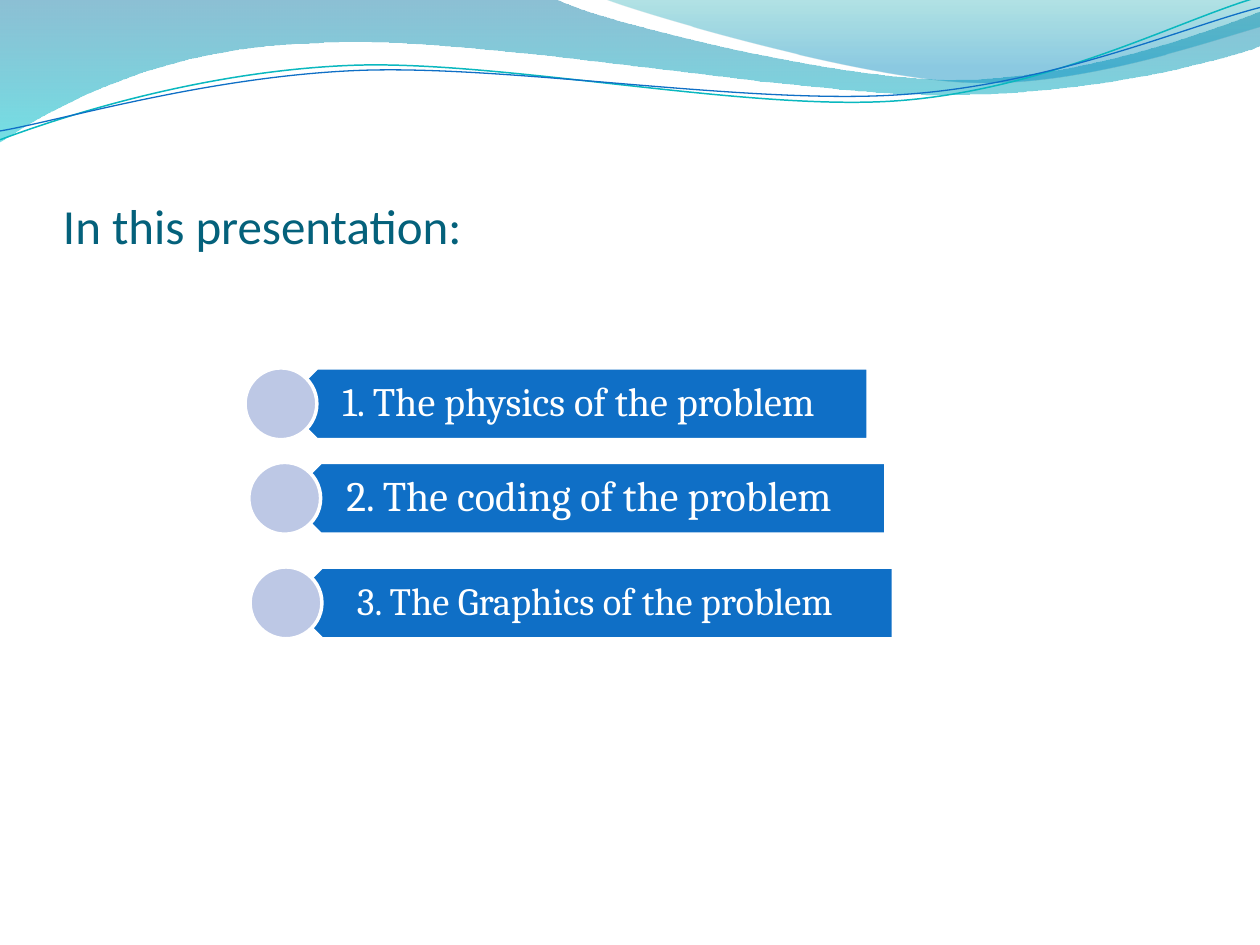
import math

import pptx
import pptx.dml.color
import pptx.enum.shapes
import pptx.enum.text
import pptx.oxml
import pptx.oxml.ns
import pptx.util

Inches = pptx.util.Inches
Pt = pptx.util.Pt
RGBColor = pptx.dml.color.RGBColor
Shapes = pptx.enum.shapes.MSO_SHAPE
Align = pptx.enum.text.PP_ALIGN
Anchor = pptx.enum.text.MSO_ANCHOR
qn = pptx.oxml.ns.qn
DRAWING = pptx.oxml.ns.nsdecls("a")

WHITE = RGBColor(0xFF, 0xFF, 0xFF)
TITLE_TEAL = RGBColor(0x04, 0x61, 0x7B)
BAR_BLUE = RGBColor(0x0F, 0x6F, 0xC6)
DISC_LILAC = RGBColor(0xBD, 0xC8, 0xE5)
LINE_TEAL = RGBColor(0x0A, 0xB8, 0xBF)
WAVE_BLUE = RGBColor(0x00, 0x74, 0xA1)
WAVE_CYAN = RGBColor(0x00, 0xC6, 0xCF)
CREST_TEAL = RGBColor(0x00, 0xA1, 0xA9)
CREST_BLUE = RGBColor(0x00, 0x8B, 0xBF)

TITLE = "In this presentation:"
# text, font size, bar left, top, bar width, top and bottom inset, right inset
TOPICS = [
    ("2. The coding of the problem", 24, 2.26, 3.67, 4.77, 0.1, 0.19),
    ("3. The Graphics of the problem", 22, 2.27, 4.5, 4.82, 0.09, 0.17),
    ("1. The physics of the problem", 23, 2.23, 2.92, 4.66, 0.1, 0.18),
]
BAR_HEIGHT = 0.57

# Outlines: a start point, then line ends (1 point) or cubic curves (3 points)
# Gradient stops, top to bottom: position, colour, opacity in percent
WAVES = [
    ([[(0, 0)], [(4.4, -0.01)],
      [(4.76, 0.17), (6.64, 0.63), (7.58, 0.63)],
      [(8.53, 0.63), (9.58, 0.26), (10, 0.09)], [(10.01, 0.36)],
      [(9.83, 0.44), (8.7, 0.76), (7.46, 0.75)],
      [(6.22, 0.75), (3.82, 0.28), (2.57, 0.34)],
      [(1.29, 0.36), (0.46, 0.83), (-0.01, 1.13)], [(0, 0)]],
     [(0, WAVE_BLUE, 45), (1, WAVE_CYAN, 55)]),
    ([[(4.79, -0.01)], [(5.09, 0.11), (6.82, 0.62), (7.69, 0.65)],
      [(8.56, 0.69), (9.61, 0.32), (10, 0.21)], [(10, 0)], [(4.79, -0.01)]],
     [(0, CREST_TEAL, 30), (0.8, CREST_BLUE, 45)]),
]
STRANDS = [
    ([[(0, 1.11)], [(0.48, 0.93), (1.58, 0.57), (2.77, 0.52)],
      [(3.95, 0.47), (5.93, 0.89), (7.13, 0.8)],
      [(8.33, 0.71), (9.38, 0.15), (9.98, -0.02)]],
     LINE_TEAL, 0.85),
    ([[(0, 1.04)], [(0.47, 0.96), (1.64, 0.61), (2.83, 0.56)],
      [(4.03, 0.51), (5.97, 0.84), (7.17, 0.75)],
      [(8.36, 0.67), (9.41, 0.21), (10, 0.06)]],
     BAR_BLUE, 0.75),
]
STRAND_TURN = -2.7
STRAND_CENTRE = (5, 0.58)


def turn_back(point):
    """Place a strand point where it lies before the strand is rotated."""
    angle = math.radians(-STRAND_TURN)
    dx, dy = (value - middle for value, middle in zip(point, STRAND_CENTRE))
    return (STRAND_CENTRE[0] + dx * math.cos(angle) - dy * math.sin(angle),
            STRAND_CENTRE[1] + dx * math.sin(angle) + dy * math.cos(angle))


def add_outline(shapes, outline, close):
    """Build a freeform through the segment ends, then bend its curves."""
    parts = [[(Inches(x), Inches(y)) for x, y in part] for part in outline]
    ends = [part[-1] for part in parts]
    builder = shapes.build_freeform(*ends[0])
    builder.add_line_segments(ends[1:], close=close)
    shape = builder.convert_to_shape()
    shape.shadow.inherit = False
    lines = list(shape.element.spPr.iter(qn("a:lnTo")))
    for line, part in zip(lines, parts[1:]):
        if len(part) == 3:
            points = "".join(f'<a:pt x="{x - shape.left}" y="{y - shape.top}"/>'
                             for x, y in part)
            curve = pptx.oxml.parse_xml(
                f"<a:cubicBezTo {DRAWING}>{points}</a:cubicBezTo>")
            line.getparent().replace(line, curve)
    return shape


def add_wave(shapes, outline, stops):
    wave = add_outline(shapes, outline, True)
    wave.line.fill.background()
    wave.fill.gradient()
    wave.fill.gradient_angle = 270
    for stop, (position, colour, _) in zip(wave.fill.gradient_stops, stops):
        stop.position = position
        stop.color.rgb = colour
    nodes = list(wave.element.spPr.iter(qn("a:srgbClr")))
    for node, (_, _, opacity) in zip(nodes, stops):
        node.append(pptx.oxml.parse_xml(
            f'<a:alpha {DRAWING} val="{opacity * 1000}"/>'))


def add_strand(shapes, outline, colour, width):
    level = [[turn_back(point) for point in part] for part in outline]
    strand = add_outline(shapes, level, False)
    strand.rotation = STRAND_TURN
    strand.fill.background()
    strand.line.color.rgb = colour
    strand.line.width = Pt(width)


def add_preset(shapes, preset, left, top, width, height, colour):
    shape = shapes.add_shape(
        preset, Inches(left), Inches(top), Inches(width), Inches(height))
    shape.shadow.inherit = False
    shape.fill.solid()
    shape.fill.fore_color.rgb = colour
    shape.line.color.rgb = WHITE
    shape.line.width = Pt(2)
    return shape


def add_text(shapes, text, place, insets, anchor, font, size, colour):
    box = shapes.add_textbox(*map(Inches, place))
    frame = box.text_frame
    frame.word_wrap = True
    frame.vertical_anchor = anchor
    (frame.margin_left, frame.margin_top,
     frame.margin_right, frame.margin_bottom) = map(Inches, insets)
    para = frame.paragraphs[0]
    para.text = text
    para.font.name = font
    para.font.size = Pt(size)
    para.font.color.rgb = colour
    return para


def add_topic(shapes, text, size, left, top, width, inset, right_inset):
    place = (left, top, width, BAR_HEIGHT)
    bar = add_preset(shapes, Shapes.PENTAGON, *place, BAR_BLUE)
    bar.rotation = 180
    para = add_text(shapes, text, place, (0.25, inset, right_inset, inset),
                    Anchor.MIDDLE, "Cambria", size, WHITE)
    para.alignment = Align.CENTER
    para.line_spacing = 0.9
    add_preset(shapes, Shapes.OVAL, left - BAR_HEIGHT / 2, top,
               BAR_HEIGHT, BAR_HEIGHT, DISC_LILAC)


def main():
    deck = pptx.Presentation()
    deck.slide_width, deck.slide_height = Inches(10), Inches(7.5)
    page = deck.slides.add_slide(deck.slide_layouts[6])
    for wave in WAVES:
        add_wave(page.shapes, *wave)
    strands = page.shapes.add_group_shape()
    for strand in STRANDS:
        add_strand(strands.shapes, *strand)
    add_text(page.shapes, TITLE, (0.5, 0.77, 9, 1.25), (0, 0.05, 0, 0),
             Anchor.BOTTOM, "Calibri", 28, TITLE_TEAL)
    for topic in TOPICS:
        add_topic(page.shapes.add_group_shape().shapes, *topic)
    deck.save("out.pptx")


if __name__ == "__main__":
    main()
